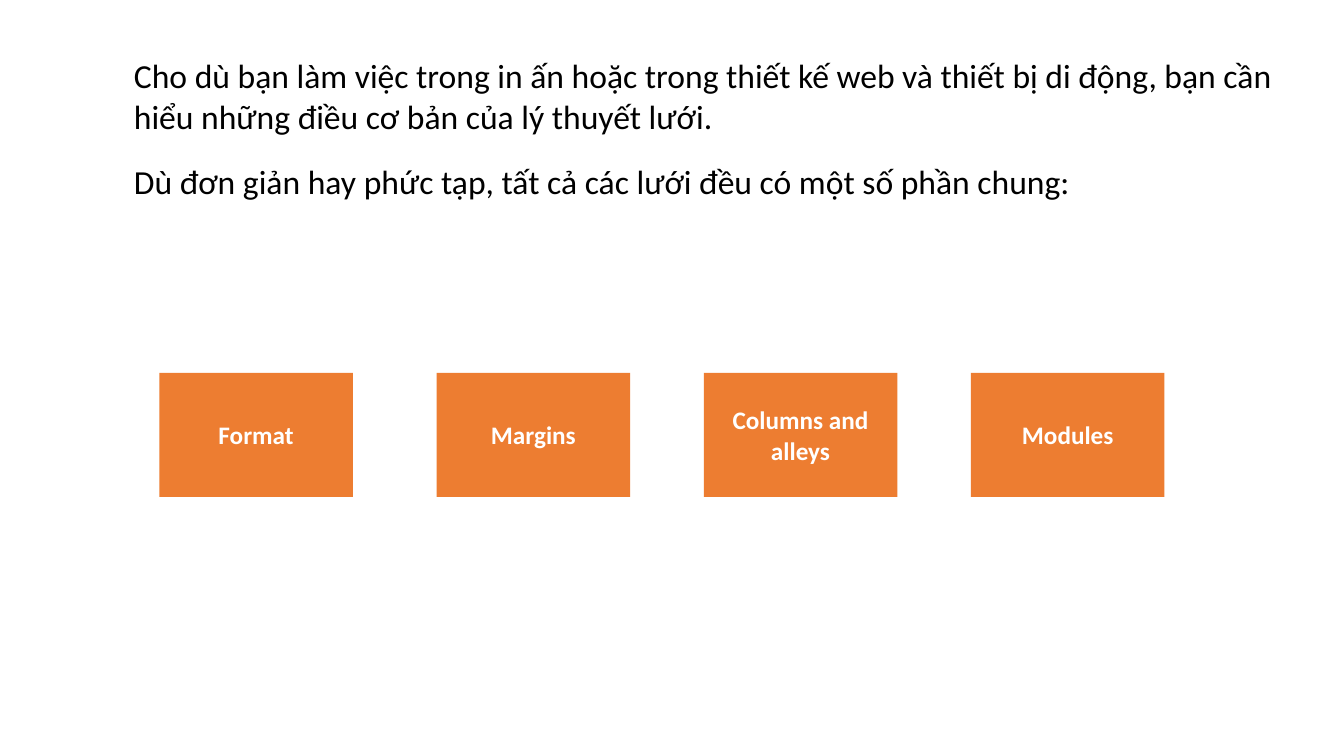
from dataclasses import dataclass

from pptx import Presentation
from pptx.dml.color import RGBColor
from pptx.enum.shapes import MSO_SHAPE as Shape
from pptx.enum.text import MSO_ANCHOR as Anchor, PP_ALIGN as Align
from pptx.util import Emu, Pt

EMU_PER_PX = 9144  # 100 px to the inch


@dataclass(frozen=True)
class Theme:
    font: str = "Calibri"
    ink: str = "000000"
    accent: str = "ED7D31"
    on_accent: str = "FFFFFF"
    body_size: int = 24
    label_size: int = 18


class SlideBuilder:
    def __init__(self, slide, theme):
        self.slide = slide
        self.theme = theme

    def frame(self, *lengths):
        return [Emu(length * EMU_PER_PX) for length in lengths]

    def style(self, para, size, color, bold=False):
        for span in para.runs:
            span.font.name = self.theme.font
            span.font.size = Pt(size)
            span.font.bold = bold
            span.font.color.rgb = RGBColor.from_string(color)

    def text(self, words, left, top, width, height):
        box = self.slide.shapes.add_textbox(*self.frame(left, top, width, height))
        box.text_frame.word_wrap = True
        box.text_frame.text = words
        self.style(box.text_frame.paragraphs[0], self.theme.body_size, self.theme.ink)

    def card(self, label, left, top, width, height):
        card = self.slide.shapes.add_shape(
            Shape.RECTANGLE, *self.frame(left, top, width, height))
        card.shadow.inherit = False
        card.fill.solid()
        card.fill.fore_color.rgb = RGBColor.from_string(self.theme.accent)
        card.line.fill.background()
        card.text_frame.word_wrap = True
        card.text_frame.vertical_anchor = Anchor.MIDDLE
        card.text_frame.text = label
        para = card.text_frame.paragraphs[0]
        para.alignment = Align.CENTER
        self.style(para, self.theme.label_size, self.theme.on_accent, bold=True)


def main():
    deck = Presentation()
    deck.slide_width = Emu(1333 * EMU_PER_PX)
    deck.slide_height = Emu(750 * EMU_PER_PX)
    page = SlideBuilder(deck.slides.add_slide(deck.slide_layouts[6]), Theme())

    page.text("Cho dù bạn làm việc trong in ấn hoặc trong thiết kế web và thiết bị "
              "di động, bạn cần hiểu những điều cơ bản của lý thuyết lưới.",
              123, 50, 1180, 131)
    page.text("Dù đơn giản hay phức tạp, tất cả các lưới đều có một số phần chung:",
              123, 155, 1180, 50)

    grid_parts = {"Format": 158, "Margins": 433, "Columns and alleys": 698, "Modules": 963}
    for label, left in grid_parts.items():
        page.card(label, left, 370, 192, 123)

    deck.save("out.pptx")


if __name__ == "__main__":
    main()
